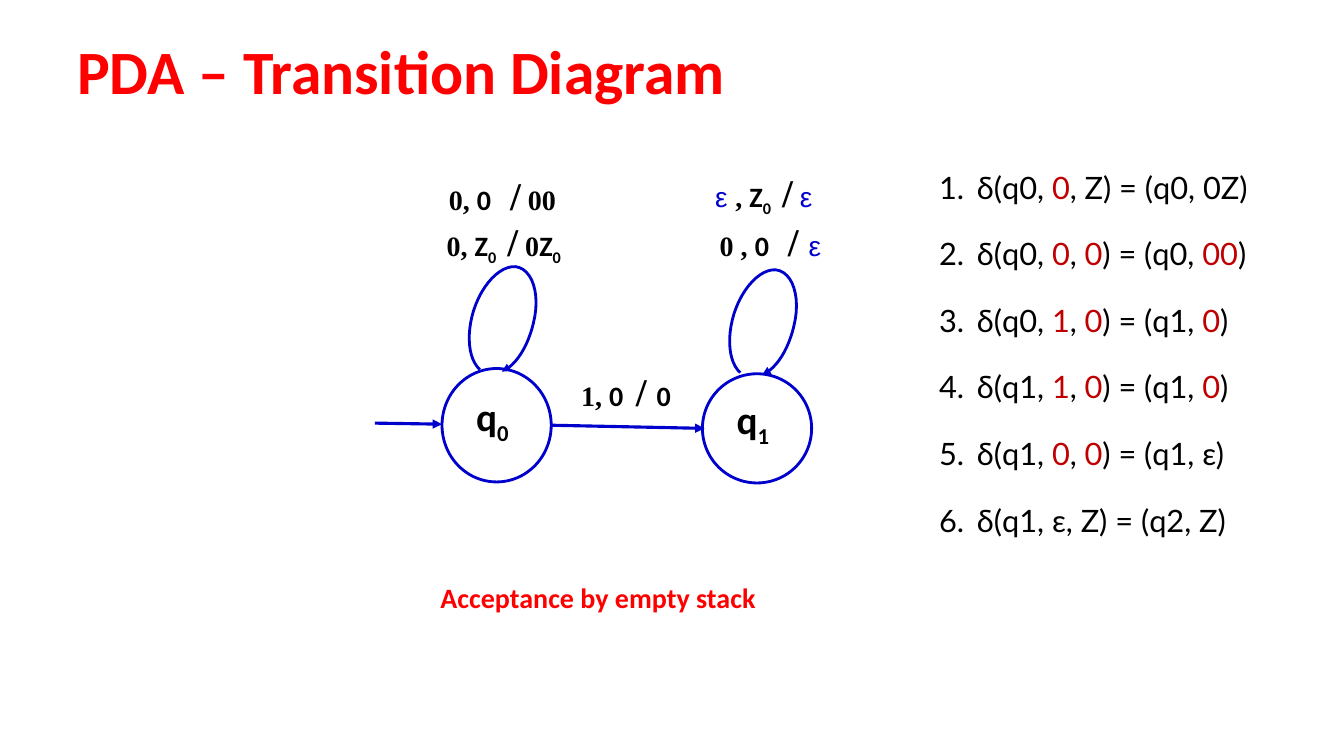
import pptx
import pptx.util
import pptx.dml.color
import pptx.enum.shapes
import pptx.enum.text
import lxml.etree
import pptx.oxml.ns

PX = 9525
BLACK = pptx.dml.color.RGBColor(0x00, 0x00, 0x00)
RED = pptx.dml.color.RGBColor(0xFF, 0x00, 0x00)
DARK_RED = pptx.dml.color.RGBColor(0xC0, 0x00, 0x00)
BLUE = pptx.dml.color.RGBColor(0x00, 0x00, 0xCC)

SERIF = dict(font="Times New Roman")
SUB = dict(baseline=-25000)
SLASH = dict(font="Times New Roman", size=28)
EPSILON = dict(font="Arial", color=BLUE, bold=False)
GAP = dict(spacing=900)
SUB_GAP = dict(baseline=-25000, spacing=520)

LOOP_START = (36, -53)
LOOP_CURVES = [
    [(25, -63), (23, -86), (30, -109)],
    [(38, -134), (55, -152), (70, -151)],
    [(86, -149), (94, -125), (87, -97)],
    [(82, -76), (71, -57), (57, -51)],
]
CURVE_STEPS = 12

LABELS = [
    ((416, 202, 153, 60), [("0, ", SERIF), ("Z", {}), ("0", SUB), (" ", SUB_GAP),
                           ("/", SLASH), (" 0", SERIF), ("Z", {}), ("0", SUB)]),
    ((418, 158, 151, 60), [("0, ", SERIF), ("0", {}), (" ", GAP),
                           ("/", SLASH), (" 00", SERIF)]),
    ((676, 202, 162, 48), [("0 , ", SERIF), ("0", {}), (" ", GAP),
                           ("/ ", SLASH), ("ε", EPSILON)]),
    ((665, 156, 152, 60), [(" ", SERIF), ("ε ", EPSILON), (", ", SERIF), ("Z", {}),
                           ("0", SUB), (" ", SUB_GAP), ("/", SLASH),
                           (" ", dict(font="Lato")), ("ε", EPSILON)]),
    ((544, 345, 144, 61), [("1, ", SERIF), ("0", {}), (" ", dict(spacing=450)),
                           ("/ ", SLASH), ("0", {})]),
]

RULES = [
    "δ(q0, |0|, Z) = (q0, 0Z)",
    "δ(q0, |0|, |0|) = (q0, |00|)",
    "δ(q0, |1|, |0|) = (q1, |0|)",
    "δ(q1, |1|, |0|) = (q1, |0|)",
    "δ(q1, |0|, |0|) = (q1, ε)",
    "δ(q1, ε, Z) = (q2, Z)",
]


def px(*lengths):
    return [round(length * PX) for length in lengths]


def add_text(slide, box, paragraphs, anchor=pptx.enum.text.MSO_ANCHOR.TOP,
             align=None, line_spacing=None, space_after=0, **text_format):
    frame = slide.shapes.add_textbox(*px(*box)).text_frame
    frame.word_wrap = True
    frame.vertical_anchor = anchor
    for index, runs in enumerate(paragraphs):
        paragraph = frame.add_paragraph() if index else frame.paragraphs[0]
        paragraph.alignment = align
        paragraph.line_spacing = line_spacing
        paragraph.space_after = pptx.util.Pt(space_after)
        for wording, changes in runs:
            look = dict(font="Calibri", size=20, color=BLACK, bold=False)
            look.update(text_format)
            look.update(changes)
            run = paragraph.add_run()
            run.text = wording
            run.font.name = look["font"]
            run.font.size = pptx.util.Pt(look["size"])
            run.font.bold = look["bold"]
            run.font.color.rgb = look["color"]
            for attribute, key in (("baseline", "baseline"), ("spc", "spacing")):
                if key in look:
                    run._r.get_or_add_rPr().set(attribute, str(look[key]))
    return frame


def add_xml(parent, tag, **attributes):
    return lxml.etree.SubElement(parent, pptx.oxml.ns.qn(tag), **attributes)


def style_line(shape, width):
    shape.line.color.rgb = BLUE
    shape.line.width = pptx.util.Pt(width)


def add_arrowhead(shape):
    add_xml(shape.line._get_or_add_ln(), "a:tailEnd", type="triangle")


def add_arrow(slide, start, end):
    arrow = slide.shapes.add_connector(
        pptx.enum.shapes.MSO_CONNECTOR.STRAIGHT, *px(*start, *end))
    style_line(arrow, 2.25)
    add_arrowhead(arrow)
    add_xml(arrow._element.spPr, "a:effectLst")


def loop_points():
    points = [LOOP_START]
    for first, second, end in LOOP_CURVES:
        start = points[-1]
        for step in range(1, CURVE_STEPS + 1):
            t = step / CURVE_STEPS
            u = 1 - t
            points.append(tuple(
                u**3 * a + 3 * u * u * t * b + 3 * u * t * t * c + t**3 * d
                for a, b, c, d in zip(start, first, second, end)))
    return points


def add_state(slide, box, number):
    left, top, width, height = box
    middle = top + height / 2
    circle = slide.shapes.add_shape(pptx.enum.shapes.MSO_SHAPE.OVAL, *px(*box))
    circle.fill.background()
    circle.shadow.inherit = False
    style_line(circle, 2)
    add_text(slide, (left + 23, middle - 36, 63, 49), [[("q", {}), (number, SUB)]],
             size=28, bold=True, space_after=10)

    outline = [px(left + x, middle + y) for x, y in loop_points()]
    builder = slide.shapes.build_freeform(*outline[0])
    builder.add_line_segments(outline[1:], close=False)
    loop = builder.convert_to_shape()
    loop.fill.background()
    loop.shadow.inherit = False
    style_line(loop, 2)
    add_arrowhead(loop)


def add_diagram(slide, box):
    left, top = box[:2]
    add_state(slide, (left + 64, top + 195, 104, 108), "0")
    add_state(slide, (left + 312, top + 200, 104, 104), "1")
    add_arrow(slide, (left, top + 247), (left + 64, top + 248))
    add_arrow(slide, (left + 168, top + 249), (left + 314, top + 252))
    for (x, y, width, height), runs in LABELS:
        add_text(slide, (left + x - 357, top + y - 156, width, height), [runs],
                 bold=True, space_after=10)


def add_heading(slide, box, wording, size):
    add_text(slide, box, [[(wording, {})]], anchor=pptx.enum.text.MSO_ANCHOR.MIDDLE,
             line_spacing=0.9, size=size, color=RED, bold=True)


def add_rules(slide, box):
    paragraphs = [
        [(part, dict(color=DARK_RED if index % 2 else BLACK))
         for index, part in enumerate(rule.split("|"))]
        for rule in RULES]
    frame = add_text(slide, box, paragraphs, align=pptx.enum.text.PP_ALIGN.JUSTIFY,
                     line_spacing=1.5, space_after=8, font="Lato", size=22)
    indent = px(36)[0]
    for paragraph in frame.paragraphs:
        properties = paragraph._p.get_or_add_pPr()
        properties.set("marL", str(indent))
        properties.set("indent", str(-indent))
        add_xml(properties, "a:buFont", typeface="+mj-lt")
        add_xml(properties, "a:buAutoNum", type="arabicPeriod")


def main():
    presentation = pptx.Presentation()
    presentation.slide_width, presentation.slide_height = px(1280, 720)
    slide = presentation.slides.add_slide(presentation.slide_layouts[6])
    add_diagram(slide, (357, 156, 460, 304))
    add_heading(slide, (64, 34, 1104, 73), "PDA – Transition Diagram", 44)
    add_heading(slide, (410, 534, 348, 73), "Acceptance by empty stack", 20)
    add_rules(slide, (885, 138, 389, 377))
    presentation.save("out.pptx")


if __name__ == "__main__":
    main()
